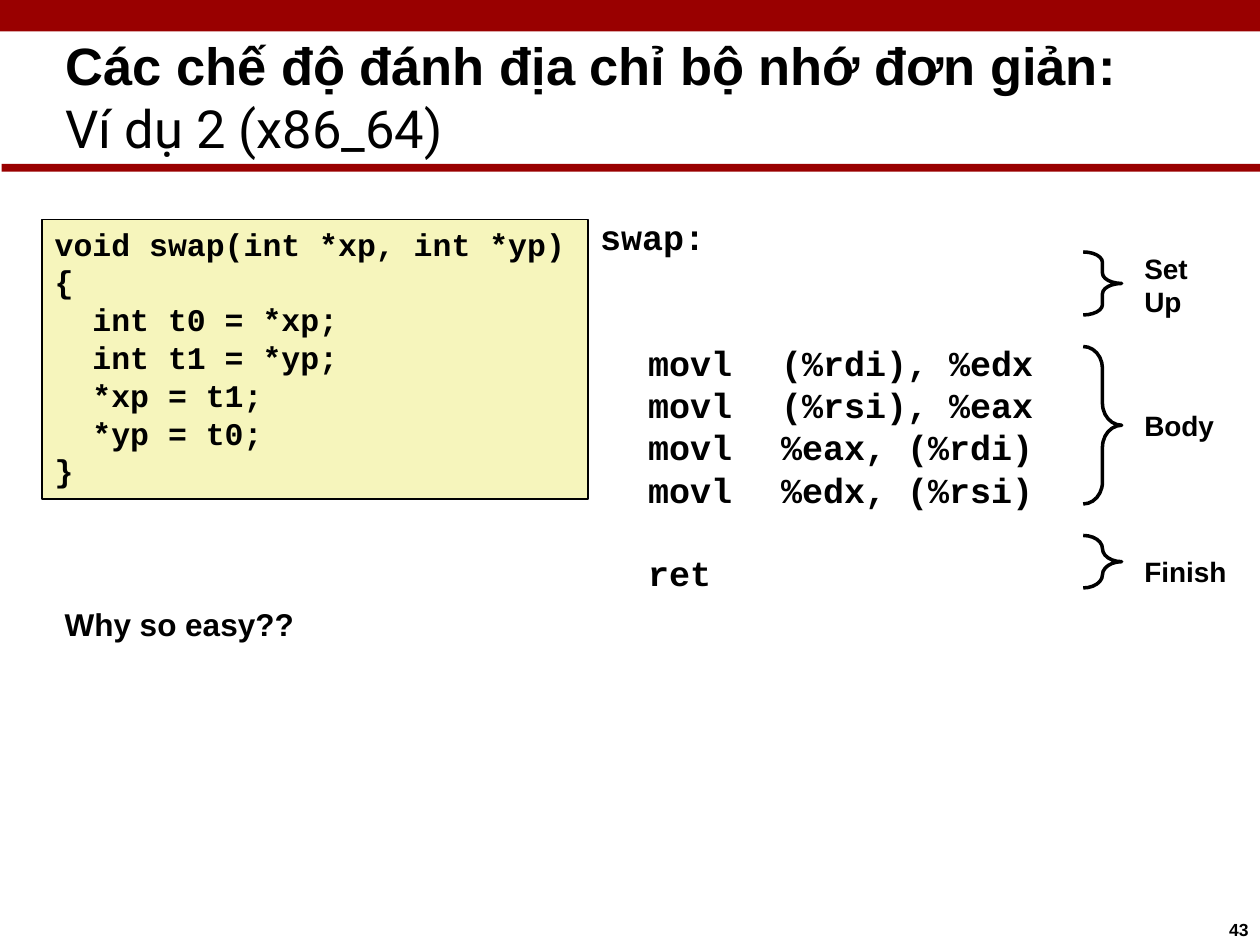
from dataclasses import dataclass
from typing import NamedTuple, Sequence

from pptx import Presentation
from pptx.dml.color import RGBColor as RGB
from pptx.enum.shapes import MSO_SHAPE as SHAPE
from pptx.enum.text import MSO_ANCHOR as ANCHOR, PP_ALIGN as ALIGN
from pptx.util import Pt


@dataclass(frozen=True)
class Theme:
    ink: RGB = RGB(0, 0, 0)
    red: RGB = RGB(0x99, 0, 0)
    cream: RGB = RGB(0xF6, 0xF5, 0xBC)
    sans: str = "Arial"
    light: str = "Roboto"
    mono: str = "Courier New"
    title: float = 30
    asm: float = 20
    code: float = 18
    label: float = 16
    number: float = 10
    leading: float = 1.2


class Box(NamedTuple):
    left: float
    top: float
    width: float
    height: float

    def lengths(self) -> list:
        return [Pt(v) for v in self]


class Line(NamedTuple):
    text: str
    indent: float = 0.9
    font: str = ""
    bold: bool = True


class Part(NamedTuple):
    """A stretch of the assembly: its brace and caption."""
    caption: str
    brace_top: float
    brace_height: float
    curve: float
    caption_top: float
    caption_width: float
    caption_height: float


THEME = Theme()

C_CODE = [
    Line("void swap(int *xp, int *yp)", 7.2),
    Line("{", 7.2),
    Line("int t0 = *xp;", 28.8),
    Line("int t1 = *yp;", 28.8),
    Line("*xp = t1;", 28.8),
    Line("*yp = t0;", 28.8),
    Line("}", 7.2),
]

OPERANDS = ["(%rdi), %edx", "(%rsi), %eax", "%eax, (%rdi)", "%edx, (%rsi)"]

PARTS = [
    Part("Set Up", 144, 36, 0.27, 141.8, 27, 40.3),
    Part("Body", 198, 90, 0.57, 231.8, 42, 21),
    Part("Finish", 306, 30, 0.34, 315.4, 50, 21),
]


def write(sp, lines: Sequence[Line], font: str, size: float, inset: float = 1.7) -> None:
    tf = sp.text_frame
    tf.word_wrap = True
    tf.vertical_anchor = ANCHOR.TOP
    tf.margin_left = tf.margin_right = tf.margin_bottom = 0
    tf.margin_top = Pt(inset)
    for i, line in enumerate(lines):
        p = tf.paragraphs[0] if i == 0 else tf.add_paragraph()
        p.alignment = ALIGN.LEFT
        p.line_spacing = Pt(size * THEME.leading)
        p.space_before = p.space_after = Pt(0)
        pPr = p._p.get_or_add_pPr()
        pPr.set("marL", str(Pt(line.indent)))
        pPr.set("indent", "0")
        r = p.add_run()
        r.text = line.text
        r.font.name = line.font or font
        r.font.size = Pt(size)
        r.font.bold = line.bold
        r.font.color.rgb = THEME.ink


def add_text(s, box: Box, texts: Sequence[str], font: str, size: float) -> None:
    sp = s.shapes.add_textbox(*box.lengths())
    write(sp, [Line(t) for t in texts], font, size)


def add_rect(s, box: Box, fill: RGB):
    sp = s.shapes.add_shape(SHAPE.RECTANGLE, *box.lengths())
    sp.shadow.inherit = False
    sp.fill.solid()
    sp.fill.fore_color.rgb = fill
    sp.line.fill.background()
    return sp


def add_part(s, part: Part) -> None:
    box = Box(619, part.brace_top, 22, part.brace_height)
    sp = s.shapes.add_shape(SHAPE.RIGHT_BRACE, *box.lengths())
    sp.shadow.inherit = False
    sp.adjustments[0] = part.curve
    sp.fill.background()
    sp.line.color.rgb = THEME.ink
    sp.line.width = Pt(2)
    caption = Box(653, part.caption_top, part.caption_width, part.caption_height)
    add_text(s, caption, [part.caption], THEME.sans, THEME.label)


def main() -> None:
    prs = Presentation()
    prs.slide_width, prs.slide_height = Pt(720), Pt(540)
    s = prs.slides.add_slide(prs.slide_layouts[5])

    title = s.shapes.title
    title.left, title.top, title.width, title.height = Box(0, 17.3, 720, 79).lengths()
    write(title, [
        Line("Các chế độ đánh địa chỉ bộ nhớ đơn giản:", 37.4),
        Line("Ví dụ 2 (x86_64)", 37.4, THEME.light, False),
    ], THEME.sans, THEME.title)

    add_rect(s, Box(0, 0, 720, 18), THEME.red)
    add_rect(s, Box(1, 93.6, 719, 4.5), THEME.red)

    code = add_rect(s, Box(24, 125.5, 312, 159.5), THEME.cream)
    code.line.color.rgb = THEME.ink
    code.line.width = Pt(1)
    write(code, C_CODE, THEME.mono, THEME.code, 2.8)

    add_text(s, Box(36, 344.2, 142, 23.8), ["Why so easy??"], THEME.sans, THEME.code)

    for box, texts in [
        (Box(342, 121.7, 62, 26), ["swap:"]),
        (Box(369.4, 193.7, 50, 98), ["movl"] * len(OPERANDS)),
        (Box(445.4, 193.7, 147, 98), OPERANDS),
        (Box(369.4, 313.2, 39, 26), ["ret"]),
    ]:
        add_text(s, box, texts, THEME.mono, THEME.asm)

    for part in PARTS:
        add_part(s, part)

    add_text(s, Box(701.5, 523.4, 16, 14.4), ["43"], THEME.sans, THEME.number)
    prs.save("out.pptx")


if __name__ == "__main__":
    main()
